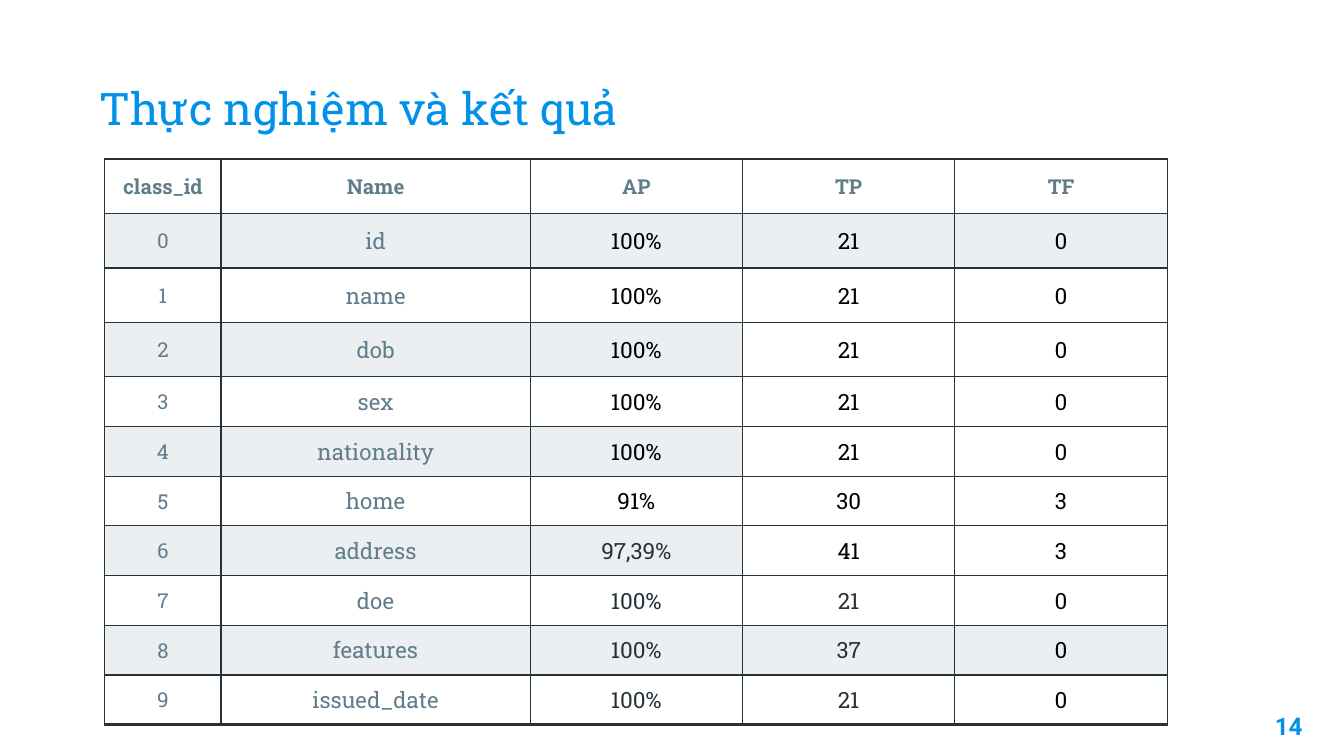
from typing import NamedTuple

from lxml import etree
from pptx import Presentation
from pptx.dml.color import RGBColor
from pptx.enum.text import MSO_ANCHOR, PP_ALIGN
from pptx.oxml.ns import qn
from pptx.util import Pt

PX = 4572  # EMU per px, 200 px to the inch

BLUE = RGBColor(0x00, 0x91, 0xEA)
SLATE = RGBColor(0x60, 0x7D, 0x8B)
INK = RGBColor(0x26, 0x32, 0x38)
BLACK = RGBColor(0x00, 0x00, 0x00)
WHITE = RGBColor(0xFF, 0xFF, 0xFF)
SHADE = RGBColor(0xEC, 0xEF, 0xF1)

LEFT, CENTER, RIGHT = PP_ALIGN.LEFT, PP_ALIGN.CENTER, PP_ALIGN.RIGHT
TOP, MIDDLE, BOTTOM = MSO_ANCHOR.TOP, MSO_ANCHOR.MIDDLE, MSO_ANCHOR.BOTTOM

SLAB, SANS = "Roboto Slab", "Roboto"
THIN, THICK = Pt(0.75), Pt(1.5)
INSET, CELL_INSET = 20, 14


class TextStyle(NamedTuple):
    size: int
    color: RGBColor
    bold: bool = False
    font: str = SLAB
    align: PP_ALIGN = CENTER


class Box(NamedTuple):
    left: int
    top: int
    width: int
    height: int


class ClassResult(NamedTuple):
    name: str
    ap: str
    tp: str
    tf: str
    shaded_columns: int = 0
    ap_color: RGBColor = BLACK
    tp_color: RGBColor = BLACK


HEADERS = ("class_id", "Name", "AP", "TP", "TF")
RESULTS = (
    ClassResult("id", "100%", "21", "0", 5),
    ClassResult("name", "100%", "21", "0"),
    ClassResult("dob", "100%", "21", "0", 3),
    ClassResult("sex", "100%", "21", "0"),
    ClassResult("nationality", "100%", "21", "0", 3),
    ClassResult("home", "91%", "30", "3"),
    ClassResult("address", "97,39%", "41", "3", 3, INK),
    ClassResult("doe", "100%", "21", "0", 0, INK, INK),
    ClassResult("features", "100%", "37", "0", 5, INK, INK),
    ClassResult("issued_date", "100%", "21", "0", 0, INK, INK),
)
COLUMN_WIDTHS = (173, 460, 316, 316, 316)
ROW_HEIGHTS = (81,) * 4 + (74,) * 7
TABLE_LEFT, TABLE_TOP = 156, 237


def write_text(text_frame, text: str, style: TextStyle) -> None:
    paragraph = text_frame.paragraphs[0]
    paragraph.alignment = style.align
    run = paragraph.add_run()
    run.text = text
    font_format = {"size": Pt(style.size), "name": style.font, "bold": style.bold}
    for name, value in font_format.items():
        setattr(run.font, name, value)
    run.font.color.rgb = style.color


def add_text(slide, box: Box, text: str, style: TextStyle, anchor: MSO_ANCHOR) -> None:
    shape = slide.shapes.add_textbox(*(length * PX for length in box))
    frame_format = {"word_wrap": True, "vertical_anchor": anchor}
    for side in ("left", "top", "right", "bottom"):
        frame_format[f"margin_{side}"] = INSET * PX
    for name, value in frame_format.items():
        setattr(shape.text_frame, name, value)
    write_text(shape.text_frame, text, style)


def add_borders(cell, top: int, bottom: int) -> None:
    properties = cell._tc.get_or_add_tcPr()
    for side, width in {"L": THIN, "R": THIN, "T": top, "B": bottom}.items():
        line = etree.SubElement(properties, qn(f"a:ln{side}"), w=str(width))
        fill = etree.SubElement(line, qn("a:solidFill"))
        etree.SubElement(fill, qn("a:srgbClr"), val=str(INK))


def fill_cell(cell, text: str, style: TextStyle, fill: RGBColor) -> None:
    cell_format = {
        "vertical_anchor": MIDDLE,
        "margin_left": INSET * PX,
        "margin_right": INSET * PX,
        "margin_top": CELL_INSET * PX,
        "margin_bottom": CELL_INSET * PX,
    }
    for name, value in cell_format.items():
        setattr(cell, name, value)
    cell.fill.solid()
    cell.fill.fore_color.rgb = fill
    write_text(cell.text_frame, text, style)


def add_results_table(slide) -> None:
    box = Box(TABLE_LEFT, TABLE_TOP, sum(COLUMN_WIDTHS), sum(ROW_HEIGHTS))
    table = slide.shapes.add_table(
        len(ROW_HEIGHTS), len(COLUMN_WIDTHS), *(length * PX for length in box)
    ).table
    for column, width in zip(table.columns, COLUMN_WIDTHS):
        column.width = width * PX
    for row, height in zip(table.rows, ROW_HEIGHTS):
        row.height = height * PX

    # Borders: thicker along the top and bottom of the table
    last_row = len(ROW_HEIGHTS) - 1
    for row_index, row in enumerate(table.rows):
        for cell in row.cells:
            add_borders(
                cell,
                THICK if row_index == 0 else THIN,
                THICK if row_index == last_row else THIN,
            )

    # Header row
    for column_index, header in enumerate(HEADERS):
        fill_cell(table.cell(0, column_index), header, TextStyle(11, SLATE, True), WHITE)

    # One row per class
    for class_id, result in enumerate(RESULTS):
        entries = (
            (str(class_id), TextStyle(11, SLATE)),
            (result.name, TextStyle(12, SLATE)),
            (result.ap, TextStyle(12, result.ap_color)),
            (result.tp, TextStyle(12, result.tp_color)),
            (result.tf, TextStyle(12, BLACK)),
        )
        for column_index, (text, style) in enumerate(entries):
            fill = SHADE if column_index < result.shaded_columns else WHITE
            fill_cell(table.cell(class_id + 1, column_index), text, style, fill)


def main() -> None:
    presentation = Presentation()
    presentation.slide_width = 2000 * PX
    presentation.slide_height = 1125 * PX
    slide = presentation.slides.add_slide(presentation.slide_layouts[6])

    # Title and page number
    add_text(slide, Box(128, 66, 1656, 154), "Thực nghiệm và kết quả",
             TextStyle(24, BLUE, align=LEFT), BOTTOM)
    add_text(slide, Box(1838, 1038, 120, 86), "14",
             TextStyle(13, BLUE, True, SANS, RIGHT), TOP)

    add_results_table(slide)
    presentation.save("out.pptx")


if __name__ == "__main__":
    main()
